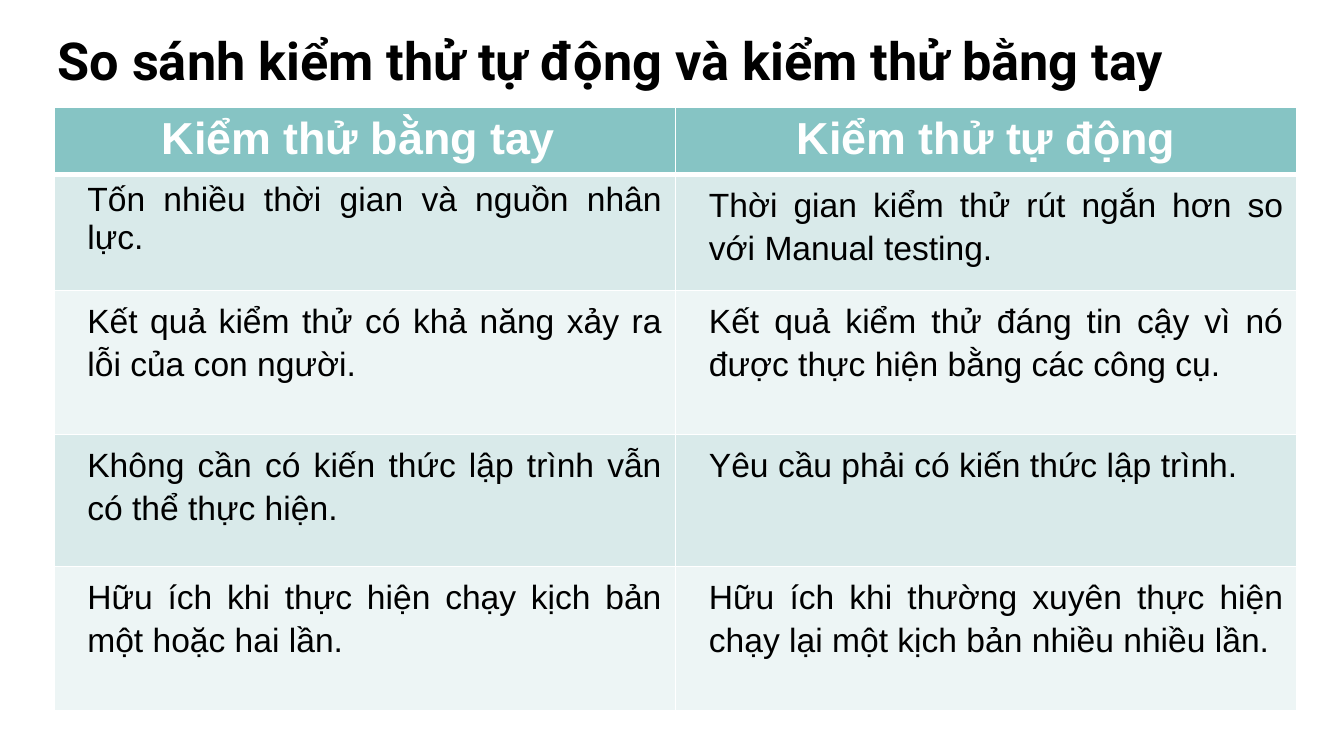
from lxml.etree import SubElement
from pptx import Presentation
from pptx.dml.color import RGBColor
from pptx.enum.text import MSO_ANCHOR as Anchor, PP_ALIGN as Align
from pptx.oxml.ns import qn
from pptx.util import Pt

TITLE = "So sánh kiểm thử tự động và kiểm thử bằng tay"
ROWS = [
    ("Kiểm thử bằng tay ", "Kiểm thử tự động"),
    ("Tốn nhiều thời gian và nguồn nhân lực.",
     "Thời gian kiểm thử rút ngắn hơn so với\u00a0Manual testing."),
    ("Kết quả kiểm thử có khả năng xảy ra lỗi của con người.",
     "Kết quả kiểm thử đáng tin cậy vì nó được thực hiện bằng các công cụ."),
    ("Không cần có kiến thức lập trình vẫn có thể thực hiện.",
     "Yêu cầu phải có kiến thức lập trình."),
    ("Hữu ích khi thực hiện chạy kịch bản một hoặc hai lần.",
     "Hữu ích khi thường xuyên thực hiện chạy lại một kịch bản nhiều nhiều lần."),
]
ROW_HEIGHTS = [34.6, 62, 77.2, 70.6, 77.2]
COLUMN_WIDTH = 333
BODY_INDENT = 10.8

BLACK = RGBColor(0x00, 0x00, 0x00)
WHITE = RGBColor(0xFF, 0xFF, 0xFF)
TEAL = RGBColor(0x86, 0xC4, 0xC4)
BANDS = [RGBColor(0xD9, 0xEA, 0xEA), RGBColor(0xED, 0xF5, 0xF5)]

TITLE_FONT = {"name": "Roboto", "size": Pt(28), "bold": True}
HEADER_FONT = {"name": "Arial", "size": Pt(24), "bold": True}
BODY_FONT = {"name": "Arial", "size": Pt(18), "bold": False}


def write(para, text, font, color):
    span = para.add_run()
    span.text = text
    for name, value in font.items():
        setattr(span.font, name, value)
    span.font.color.rgb = color


def add_borders(cell, widths):
    properties = cell._tc.get_or_add_tcPr()
    for side, width in widths.items():
        line = SubElement(properties, qn(f"a:ln{side}"), w=str(Pt(width)))
        paint = SubElement(line, qn("a:solidFill"))
        SubElement(paint, qn("a:srgbClr"), val=str(WHITE))


def add_title(page):
    box = page.shapes.add_textbox(Pt(23.76), Pt(7.92), Pt(671), Pt(45.4))
    frame = box.text_frame
    margins = {f"margin_{side}": Pt(7.2) for side in ("left", "top", "right", "bottom")}
    for name, value in {"word_wrap": True, "vertical_anchor": Anchor.TOP, **margins}.items():
        setattr(frame, name, value)
    write(frame.paragraphs[0], TITLE, TITLE_FONT, BLACK)


def fill_cell(cell, text, row, column):
    para = cell.text_frame.paragraphs[0]
    header = row == 0
    add_borders(cell, {"L": 1, "R": 1, "T": 3 if row == 1 else 1, "B": 3 if header else 1})
    cell.fill.solid()
    cell.fill.fore_color.rgb = TEAL if header else BANDS[(row - 1) % 2]
    if header:
        para.alignment = Align.CENTER
        write(para, text, HEADER_FONT, WHITE)
        return
    para.alignment = Align.JUSTIFY
    para.line_spacing = 1.0 if (row, column) == (1, 0) else 1.15
    para._p.get_or_add_pPr().set("marL", str(Pt(BODY_INDENT)))
    write(para, text, BODY_FONT, BLACK)


def add_comparison(page):
    frame = page.shapes.add_table(len(ROWS), len(ROWS[0]), Pt(28.8), Pt(57.6),
                                  Pt(COLUMN_WIDTH * len(ROWS[0])), Pt(sum(ROW_HEIGHTS)))
    table = frame.table
    for column in table.columns:
        column.width = Pt(COLUMN_WIDTH)
    for row, (texts, height) in enumerate(zip(ROWS, ROW_HEIGHTS)):
        table.rows[row].height = Pt(height)
        for column, text in enumerate(texts):
            fill_cell(table.cell(row, column), text, row, column)


def main():
    deck = Presentation()
    deck.slide_width, deck.slide_height = Pt(720), Pt(405)
    page = deck.slides.add_slide(deck.slide_layouts[6])
    add_title(page)
    add_comparison(page)
    deck.save("out.pptx")


if __name__ == "__main__":
    main()
